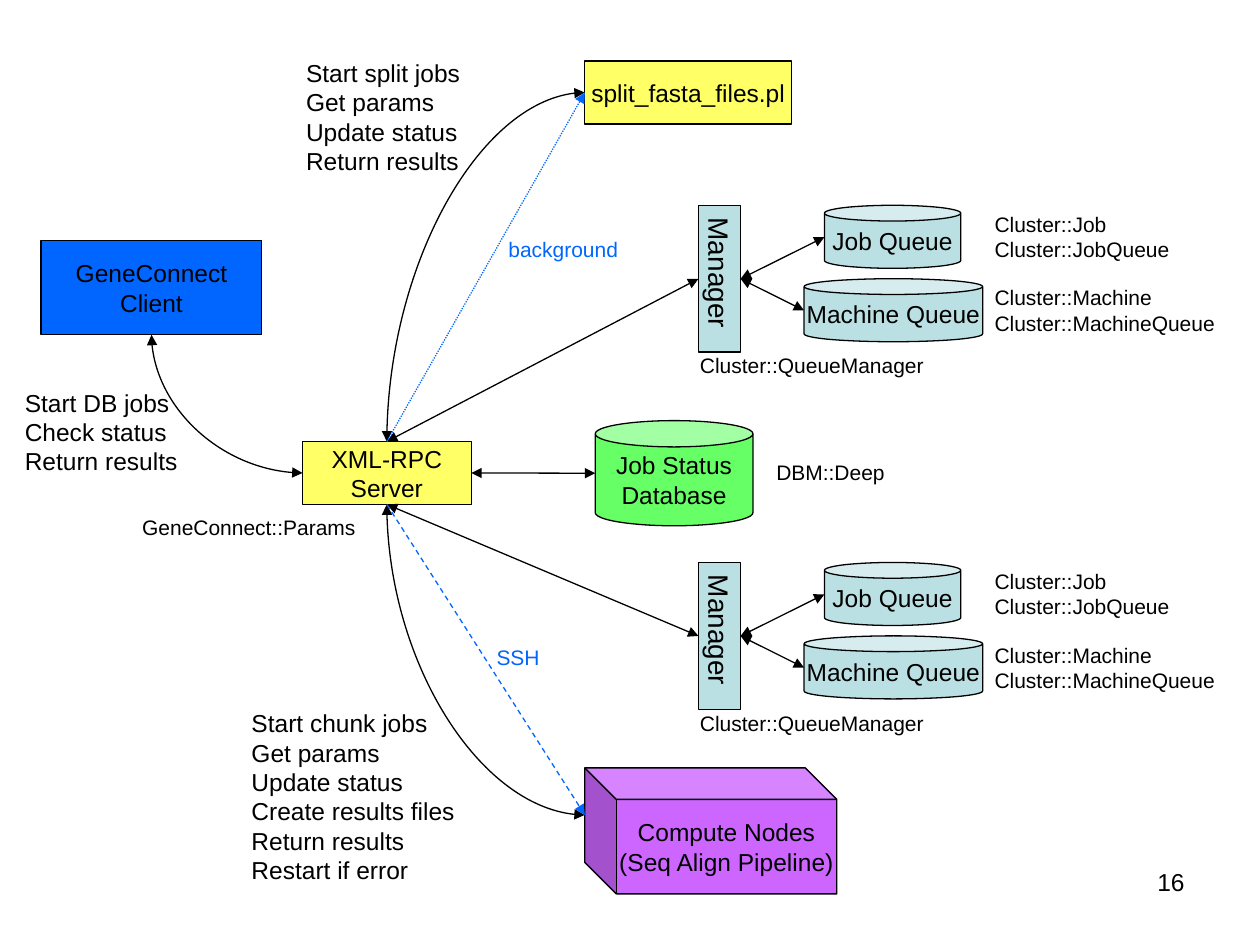
from lxml import etree
from pptx import Presentation
from pptx.dml.color import RGBColor
from pptx.enum import dml, shapes, text
from pptx.oxml.ns import qn
from pptx.util import Cm, Pt

BLACK = RGBColor(0x00, 0x00, 0x00)
BLUE = RGBColor(0x00, 0x66, 0xFF)
YELLOW = RGBColor(0xFF, 0xFF, 0x66)
GREEN = RGBColor(0x66, 0xFF, 0x66)
PURPLE = RGBColor(0xCC, 0x66, 0xFF)
TEAL = RGBColor(0xBB, 0xE0, 0xE3)

KINDS = shapes.MSO_SHAPE
STRAIGHT = shapes.MSO_CONNECTOR.STRAIGHT
CURVE = shapes.MSO_CONNECTOR.CURVE
TOP, LEFT, BOTTOM, RIGHT = range(4)

deck = Presentation()
deck.slide_width, deck.slide_height = Cm(25.4), Cm(19.05)
page = deck.slides.add_slide(deck.slide_layouts[6])


def add_box(words, place, kind=None, fill=None, size=14, color=BLACK, align=None):
    """Add a filled node, or a plain text box when no kind is given."""
    place = [Cm(length) for length in place]
    if kind is None:
        box = page.shapes.add_textbox(*place)
    else:
        box = page.shapes.add_shape(kind, *place)
        box.shadow.inherit = False
        box.fill.solid()
        box.fill.fore_color.rgb = fill
        box.line.color.rgb = BLACK
        box.line.width = Pt(0.75)
        box.text_frame.vertical_anchor = text.MSO_ANCHOR.MIDDLE
        align = text.PP_ALIGN.CENTER
    frame = box.text_frame
    frame.text = words
    frame.word_wrap = False
    for para in frame.paragraphs:
        para.alignment = align or text.PP_ALIGN.LEFT
        for span in para.runs:
            span.font.name = "Arial"
            span.font.size = Pt(size)
            span.font.color.rgb = color
    return box


def add_link(start, end, kind=STRAIGHT, color=BLACK, dash=None):
    """Link two ends, each a (box, side) pair or an (x, y) point in cm."""
    link = page.shapes.add_connector(kind, 0, 0, 0, 0)
    if isinstance(start[0], (int, float)):
        link.begin_x, link.begin_y = Cm(start[0]), Cm(start[1])
    else:
        link.begin_connect(*start)
    if isinstance(end[0], (int, float)):
        link.end_x, link.end_y = Cm(end[0]), Cm(end[1])
    else:
        link.end_connect(*end)
    link.line.color.rgb = color
    link.line.width = Pt(0.75)
    if dash:
        link.line.dash_style = dash
    properties = link._element.spPr
    if kind == CURVE:
        properties.find(qn("a:prstGeom")).set("prst", "curvedConnector2")
    # Dashed links point one way, solid links both ways
    for tag in ["a:tailEnd"] if dash else ["a:headEnd", "a:tailEnd"]:
        etree.SubElement(properties.find(qn("a:ln")), qn(tag), type="triangle")
    etree.SubElement(properties, qn("a:effectLst"))


# Client, server, script, database and compute nodes
client = add_box("GeneConnect\nClient", (0.83, 4.85, 4.45, 1.9), KINDS.RECTANGLE, BLUE)
server = add_box("XML-RPC\nServer", (6.1, 8.9, 3.4, 1.27), KINDS.RECTANGLE, YELLOW)
splitter = add_box("split_fasta_files.pl", (11.79, 1.23, 4.17, 1.27),
                   KINDS.RECTANGLE, YELLOW)
add_box("Job Status\nDatabase", (12, 8.48, 3.18, 2.12), KINDS.CAN, GREEN)
nodes = add_box("Compute Nodes\n(Seq Align Pipeline)", (11.79, 15.48, 5.08, 2.54),
                KINDS.CUBE, PURPLE)
nodes._element.spPr.find(qn("a:xfrm")).set("flipH", "1")
nodes_entry = (11.79, 16.43)

# Two clusters, each a manager with its job and machine queues
for top, server_side in ((4.14, TOP), (11.34, BOTTOM)):
    manager = add_box("Manager", (14.08, top, 0.85, 2.96), KINDS.RECTANGLE, TEAL, 16)
    frame = manager.text_frame
    frame._txBody.bodyPr.set("vert", "eaVert")
    frame.word_wrap = True
    frame.margin_left = frame.margin_right = Cm(0.13)
    frame.margin_top = frame.margin_bottom = Cm(0.25)
    add_box("Cluster::QueueManager", (13.86, top + 2.85, 5.2, 0.76), size=12)
    add_link((server, server_side), (manager, LEFT))
    for name, left, width, drop, label_width in (
        ("Job", 16.62, 2.75, 0, 4.2),
        ("Machine", 16.21, 3.6, 1.48, 5.1),
    ):
        queue_top = top + drop
        add_box(f"{name} Queue", (left, queue_top, width, 1.27), KINDS.CAN, TEAL)
        add_box(f"Cluster::{name}\nCluster::{name}Queue",
                (19.8, queue_top, label_width, 1.27), size=12)
        add_link((manager, RIGHT), (left, queue_top + 0.64))

# Links around the server
add_link((server, LEFT), (client, BOTTOM), CURVE)
add_link((splitter, LEFT), (server, TOP), CURVE)
add_link(nodes_entry, (server, BOTTOM), CURVE)
add_link((server, RIGHT), (12, 9.54))
add_link((server, TOP), (splitter, LEFT), color=BLUE, dash=dml.MSO_LINE.ROUND_DOT)
add_link((server, BOTTOM), nodes_entry, color=BLUE, dash=dml.MSO_LINE.DASH)

# Message lists beside the curved links
add_box("Start DB jobs\nCheck status\nReturn results", (0.25, 7.69, 3.8, 2.03))
add_box("Start split jobs\nGet params\nUpdate status\nReturn results",
        (5.92, 1.04, 3.8, 2.64))
add_box("Start chunk jobs\nGet params\nUpdate status\nCreate results files\n"
        "Return results\nRestart if error", (4.82, 14.15, 4.9, 3.81))

# Small labels
add_box("DBM::Deep", (15.4, 9.14, 2.9, 0.76), size=12)
add_box("GeneConnect::Params", (2.52, 10.24, 5, 0.76), size=12,
        align=text.PP_ALIGN.CENTER)
add_box("background", (10, 4.65, 2.9, 0.76), size=12, color=BLUE)
add_box("SSH", (9.76, 12.86, 1.5, 0.76), size=12, color=BLUE)

# Page number
number = add_box("16", (18.21, 17.35, 5.92, 1.32), align=text.PP_ALIGN.RIGHT)
number.text_frame.word_wrap = True

deck.save("out.pptx")
